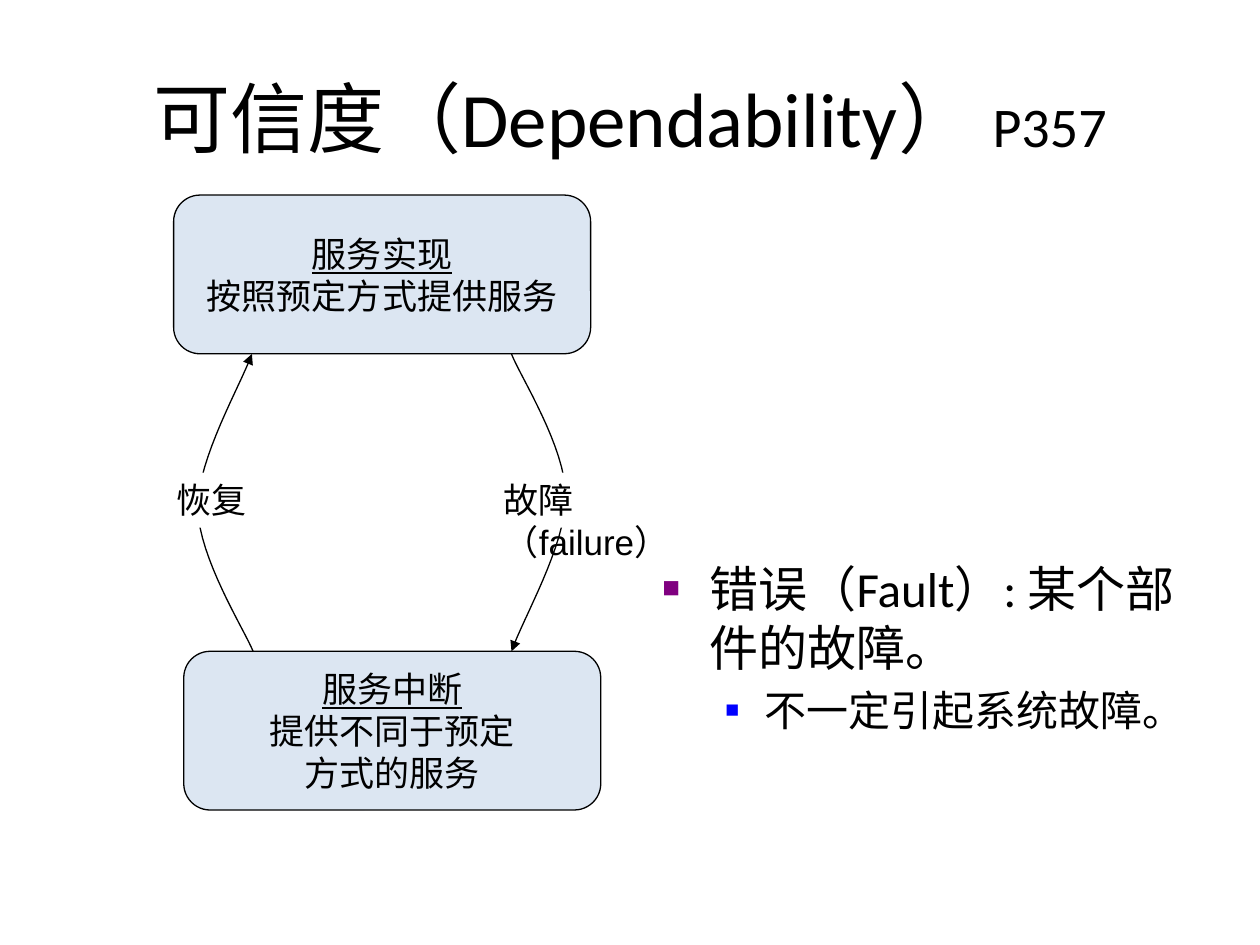
from lxml.etree import SubElement
from pptx import Presentation
from pptx.dml.color import RGBColor
from pptx.enum.shapes import MSO_SHAPE
from pptx.enum.text import MSO_ANCHOR, MSO_AUTO_SIZE, PP_ALIGN
from pptx.oxml.ns import qn
from pptx.util import Pt

BLACK = RGBColor(0x00, 0x00, 0x00)
WHITE = RGBColor(0xFF, 0xFF, 0xFF)
PALE_BLUE = RGBColor(0xDC, 0xE6, 0xF2)
PURPLE = RGBColor(0x80, 0x00, 0x80)
BLUE = RGBColor(0x00, 0x00, 0xFF)


def add_text(paragraph, text, size=20, font="Arial", color=BLACK,
             underline=False, align=None):
    """Append one formatted run to the paragraph."""
    if align is not None:
        paragraph.alignment = align
    run = paragraph.add_run()
    run.text = text
    run.font.size = Pt(size)
    run.font.name = font
    run.font.color.rgb = color
    run.font.underline = underline


def add_bullet(paragraph, color, percent, margin, hanging):
    properties = paragraph._p.get_or_add_pPr()
    properties.set("marL", str(Pt(margin)))
    properties.set("indent", str(-Pt(hanging)))
    bullet_color = SubElement(properties, qn("a:buClr"))
    SubElement(bullet_color, qn("a:srgbClr")).set("val", str(color))
    SubElement(properties, qn("a:buSzPct")).set("val", str(percent * 1000))
    SubElement(properties, qn("a:buFont")).set("typeface", "Arial")
    SubElement(properties, qn("a:buChar")).set("char", "■")


def bezier_points(start, control_1, control_2, end, steps=16):
    """Return the points of a cubic curve, without its start."""
    points = []
    for step in range(1, steps + 1):
        t = step / steps
        weights = ((1 - t) ** 3, 3 * t * (1 - t) ** 2, 3 * t ** 2 * (1 - t), t ** 3)
        corners = (start, control_1, control_2, end)
        points.append(tuple(sum(weight * corner[axis]
                                for weight, corner in zip(weights, corners))
                            for axis in (0, 1)))
    return points


class SlideBuilder:
    """Holds the slide and the shared style of its elements."""

    line_width = 0.75
    body_font = "Calibri"

    def __init__(self, slide):
        self.slide = slide

    def title(self, left, top, width, height, parts):
        title = self.slide.shapes.title
        title.left, title.top = Pt(left), Pt(top)
        title.width, title.height = Pt(width), Pt(height)
        title.text_frame.vertical_anchor = MSO_ANCHOR.MIDDLE
        for text, size in parts:
            add_text(title.text_frame.paragraphs[0], text, size=size,
                     font=self.body_font, align=PP_ALIGN.CENTER)

    def bullets(self, left, top, width, height, items):
        box = self.slide.shapes.add_textbox(Pt(left), Pt(top), Pt(width), Pt(height))
        frame = box.text_frame
        frame.word_wrap = True
        for index, (text, size, level, bullet) in enumerate(items):
            paragraph = frame.add_paragraph() if index else frame.paragraphs[0]
            paragraph.level = level
            if index:
                paragraph.space_before = Pt(size * 0.2)
            add_bullet(paragraph, *bullet)
            add_text(paragraph, text, size=size, font=self.body_font)

    def filled_shape(self, kind, left, top, width, height, color):
        shape = self.slide.shapes.add_shape(kind, Pt(left), Pt(top), Pt(width), Pt(height))
        shape.shadow.inherit = False
        shape.fill.solid()
        shape.fill.fore_color.rgb = color
        return shape

    def state(self, left, top, width, height, heading, lines):
        shape = self.filled_shape(MSO_SHAPE.ROUNDED_RECTANGLE, left, top, width, height,
                                  PALE_BLUE)
        self.outline(shape)
        frame = shape.text_frame
        frame.word_wrap = False
        frame.vertical_anchor = MSO_ANCHOR.MIDDLE
        add_text(frame.paragraphs[0], heading, underline=True, align=PP_ALIGN.CENTER)
        for line in lines:
            add_text(frame.add_paragraph(), line, align=PP_ALIGN.CENTER)

    def label(self, left, top, width, height, text, margin_left=7.2, margin_right=7.2):
        shape = self.filled_shape(MSO_SHAPE.RECTANGLE, left, top, width, height, WHITE)
        shape.line.fill.background()
        frame = shape.text_frame
        frame.word_wrap = True
        frame.auto_size = MSO_AUTO_SIZE.NONE
        frame.vertical_anchor = MSO_ANCHOR.TOP
        frame.margin_left, frame.margin_right = Pt(margin_left), Pt(margin_right)
        add_text(frame.paragraphs[0], text, align=PP_ALIGN.LEFT)

    def curved_arrow(self, start, *curves):
        points = [start]
        for curve in curves:
            points += bezier_points(points[-1], *curve)
        (first_x, first_y), *rest = [(Pt(x), Pt(y)) for x, y in points]
        builder = self.slide.shapes.build_freeform(first_x, first_y)
        builder.add_line_segments(rest, close=False)
        shape = builder.convert_to_shape()
        shape.shadow.inherit = False
        shape.fill.background()
        self.outline(shape)
        SubElement(shape.line._get_or_add_ln(), qn("a:tailEnd")).set("type", "triangle")

    def outline(self, shape):
        shape.line.color.rgb = BLACK
        shape.line.width = Pt(self.line_width)


def main():
    presentation = Presentation()
    presentation.slide_width, presentation.slide_height = Pt(720), Pt(540)
    slide = presentation.slides.add_slide(presentation.slide_layouts[5])
    builder = SlideBuilder(slide)

    builder.title(36, 21.6, 648, 90, [("可信度（Dependability） ", 44), ("P357", 32)])
    builder.bullets(371.5, 315.4, 311.8, 131, [
        ("错误（Fault）: 某个部件的故障。", 28, 0, (PURPLE, 60, 27, 27)),
        ("不一定引起系统故障。", 24, 1, (BLUE, 55, 58.5, 22.5)),
    ])

    state_size = (238.3, 90.7)
    builder.state(99.2, 111.5, *state_size, "服务实现", ["按照预定方式提供服务"])
    builder.state(105, 372.2, *state_size, "服务中断", ["提供不同于预定", "方式的服务"])

    label_top, label_height = 270, 31.5
    builder.curved_arrow((292.3, 202.3),
                         ((297.4, 215.3), (323.3, 255.6), (323.3, 283.7)),
                         ((323.3, 311.8), (298.8, 353.5), (292.3, 372.2)))
    builder.label(280.8, label_top, 150.5, label_height, "故障（failure）",
                  margin_right=12)
    builder.curved_arrow((144.7, 372.2),
                         ((139, 358.6), (113.8, 319), (113, 290.2)),
                         ((113, 262.1), (137.5, 220.3), (144, 202.3)))
    builder.label(87.8, label_top, 82.8, label_height, "恢复", margin_left=13.2)

    presentation.save("out.pptx")


if __name__ == "__main__":
    main()
